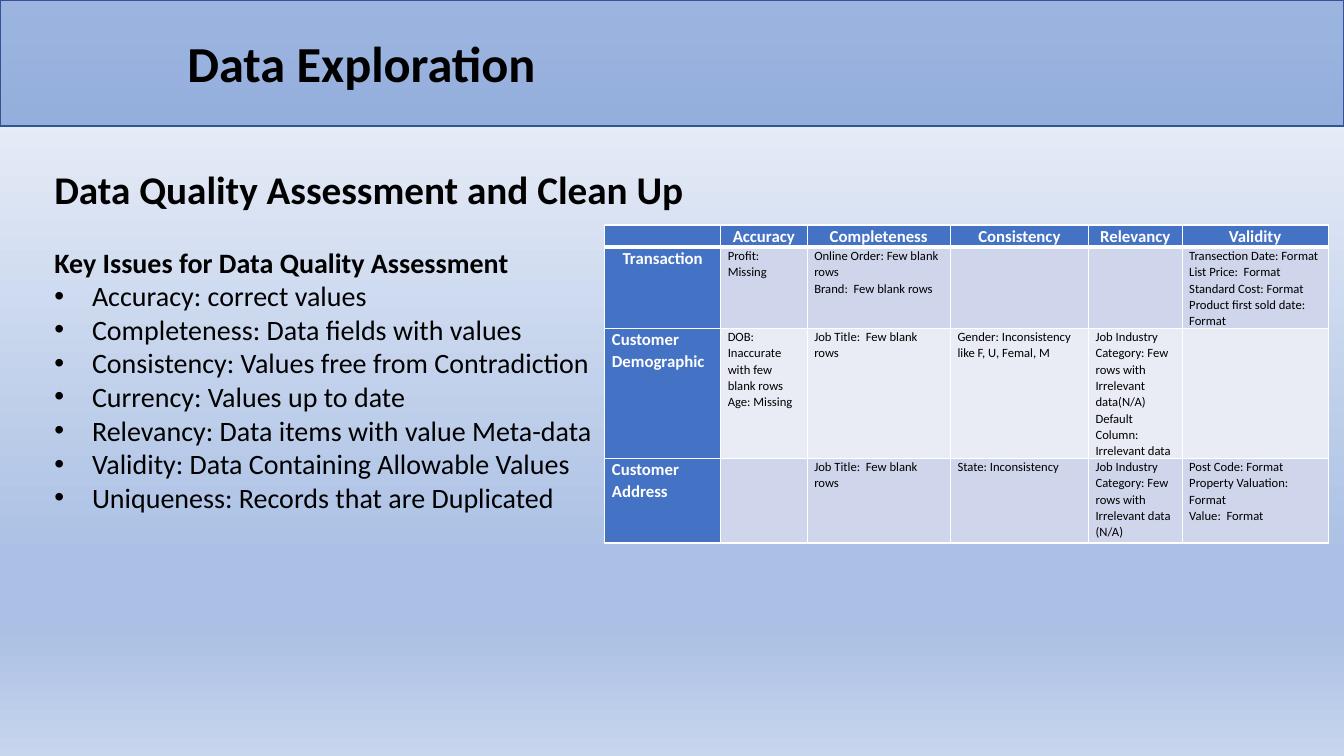
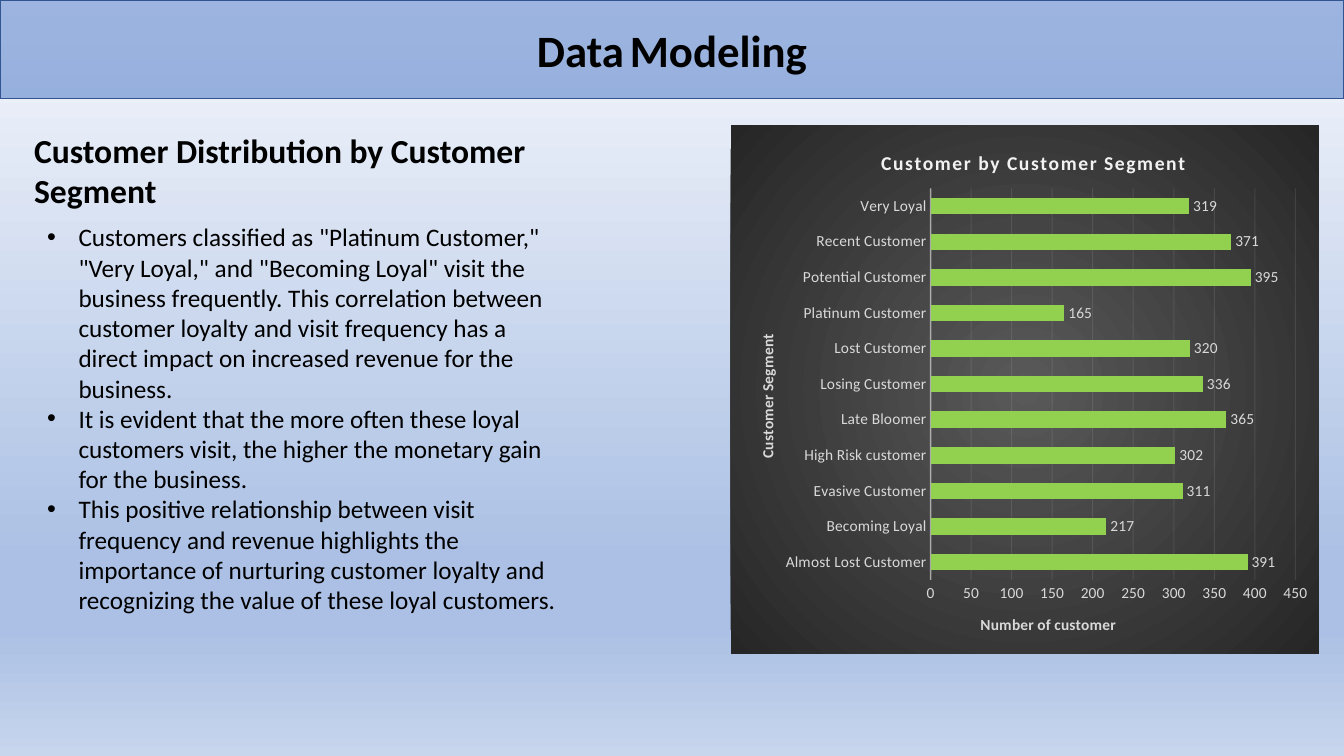
from lxml import etree
from pptx import Presentation
from pptx import util as u
from pptx.chart.data import CategoryChartData
from pptx.dml.color import RGBColor
from pptx.enum import chart as ch, shapes, text
from pptx.oxml import parse_xml
from pptx.oxml.ns import nsdecls, qn

Cm, Pt = u.Cm, u.Pt
FONT = "Calibri"
WIDTH, HEIGHT = Cm(33.87), Cm(19.05)
COLORS = {
    "black": "000000", "white": "FFFFFF", "blue": "4472C4", "outline": "325491",
    "band_dark": "CFD5EA", "band_light": "E9EBF5",
    "bar": "92D050", "label": "D9D9D9", "pale": "F2F2F2",
}
PAGE_STOPS = [(0, "F6F8FC"), (74, "ABC0E4"), (83, "ABC0E4"), (100, "C7D5ED")]
CHART_STOPS = [(0, "595959"), (100, "262626")]
LINEAR = '<a:lin ang="5400000" scaled="1"/>'
RADIAL = '<a:path path="circle"><a:fillToRect l="50000" t="50000" r="50000" b="50000"/></a:path>'

ISSUES = [
    "Accuracy: correct values",
    "Completeness: Data fields with values",
    "Consistency: Values free from Contradiction",
    "Currency: Values up to date",
    "Relevancy: Data items with value Meta-data",
    "Validity: Data Containing Allowable Values",
    "Uniqueness: Records that are Duplicated",
]
COL_WIDTHS = [2.92, 2.18, 3.61, 3.48, 2.36, 3.68]
ROW_HEIGHTS = [0.56, 2.03, 3.28, 2.13]
QUALITY = [
    ["", "Accuracy", "Completeness", "Consistency", "Relevancy", "Validity"],
    ["Transaction", "Profit: Missing",
     "Online Order: Few blank rows\nBrand:  Few blank rows", "", "",
     "Transection Date: Format\nList Price:  Format\nStandard Cost: Format\n"
     "Product first sold date: Format"],
    ["Customer Demographic", "DOB: Inaccurate with few blank rows\nAge: Missing",
     "Job Title:  Few blank rows", "Gender: Inconsistency like F, U, Femal, M",
     "Job Industry Category: Few rows with Irrelevant data(N/A)\n"
     "Default Column:  Irrelevant data", ""],
    ["Customer Address", "", "Job Title:  Few blank rows", "State: Inconsistency",
     "Job Industry Category: Few rows with Irrelevant data (N/A)",
     "Post Code: Format\nProperty Valuation:  Format\nValue:  Format"],
]
FINDINGS = [
    'Customers classified as "Platinum Customer," "Very Loyal," and "Becoming Loyal" '
    "visit the business frequently. This correlation between customer loyalty and visit "
    "frequency has a direct impact on increased revenue for the business.",
    "It is evident that the more often these loyal customers visit, the higher the "
    "monetary gain for the business.",
    "This positive relationship between visit frequency and revenue highlights the "
    "importance of nurturing customer loyalty and recognizing the value of these loyal "
    "customers.",
]
SEGMENTS = {
    "Almost Lost Customer": 391, "Becoming Loyal": 217, "Evasive Customer": 311,
    "High Risk customer": 302, "Late Bloomer": 365, "Losing Customer": 336,
    "Lost Customer": 320, "Platinum Customer": 165, "Potential Customer": 395,
    "Recent Customer": 371, "Very Loyal": 319,
}


def rgb(name):
    return RGBColor.from_string(COLORS[name])


def style(font, size, color="black", bold=False):
    font.name, font.size, font.bold = FONT, Pt(size), bold
    font.color.rgb = rgb(color)


def add_run(p, words, size, color="black", bold=False):
    r = p.add_run()
    r.text = words
    style(r.font, size, color, bold)
    return r


def paint(fill, color, opacity=100):
    fill.solid()
    fill.fore_color.rgb = rgb(color)
    if opacity < 100:
        clr = fill._xPr.find(".//" + qn("a:srgbClr"))
        etree.SubElement(clr, qn("a:alpha")).set("val", str(opacity * 1000))


def gradient(stops, direction):
    gs = "".join(f'<a:gs pos="{pos * 1000}"><a:srgbClr val="{c}"/></a:gs>' for pos, c in stops)
    return parse_xml(f'<a:gradFill {nsdecls("a")} rotWithShape="1">'
                     f"<a:gsLst>{gs}</a:gsLst>{direction}</a:gradFill>")


def set_background(master):
    fill = master.background.fill
    fill.solid()
    solid = fill._xPr.find(qn("a:solidFill"))
    fill._xPr.replace(solid, gradient(PAGE_STOPS, LINEAR))


def add_band(s, height):
    sp = s.shapes.add_shape(shapes.MSO_SHAPE.RECTANGLE, 0, 0, WIDTH, Cm(height))
    sp.shadow.inherit = False
    paint(sp.fill, "blue", 50)
    paint(sp.line.fill, "outline")
    sp.line.width = Pt(1)
    return sp.text_frame


def add_text(s, box, size, heading=None, bullets=(), indent=0):
    tf = s.shapes.add_textbox(*map(Cm, box)).text_frame
    tf.word_wrap = True
    tf.auto_size = text.MSO_AUTO_SIZE.SHAPE_TO_FIT_TEXT
    lines = ([(heading, True)] if heading else []) + [(b, False) for b in bullets]
    for i, (words, is_heading) in enumerate(lines):
        p = tf.add_paragraph() if i else tf.paragraphs[0]
        add_run(p, words, size, bold=is_heading)
        if not is_heading:
            pPr = p._p.get_or_add_pPr()
            pPr.set("marL", str(Cm(indent)))
            pPr.set("indent", str(-Cm(indent)))
            etree.SubElement(pPr, qn("a:buFont")).set("typeface", "Arial")
            etree.SubElement(pPr, qn("a:buChar")).set("char", "•")


def set_borders(cell, row):
    widths = {"L": 1, "R": 1, "T": 3 if row == 1 else 1, "B": 3 if row == 0 else 1}
    for i, (side, width) in enumerate(widths.items()):
        cell._tc.get_or_add_tcPr().insert(i, parse_xml(
            f'<a:ln{side} {nsdecls("a")} w="{Pt(width)}"><a:solidFill>'
            f'<a:srgbClr val="{COLORS["white"]}"/></a:solidFill></a:ln{side}>'))


def add_quality_table(s, left, top):
    frame = s.shapes.add_table(len(QUALITY), len(COL_WIDTHS), Cm(left), Cm(top),
                               Cm(sum(COL_WIDTHS)), Cm(sum(ROW_HEIGHTS)))
    table = frame.table
    for col, width in zip(table.columns, COL_WIDTHS):
        col.width = Cm(width)
    for i, (row, height) in enumerate(zip(QUALITY, ROW_HEIGHTS)):
        table.rows[i].height = Cm(height)
        for j, words in enumerate(row):
            cell = table.cell(i, j)
            header = i == 0 or j == 0
            cell.margin_left = cell.margin_right = Cm(0.18)
            cell.margin_top = cell.margin_bottom = 0
            paint(cell.fill, "blue" if header else "band_dark" if i % 2 else "band_light")
            set_borders(cell, i)
            tf = cell.text_frame
            for k, line in enumerate(words.split("\n")):
                p = tf.add_paragraph() if k else tf.paragraphs[0]
                p.line_spacing = 1.07
                if i == 0 or (i, j) == (1, 0):
                    p.alignment = text.PP_ALIGN.CENTER
                if line:
                    add_run(p, line, 12 if header else 9, "white" if header else "black", header)
                else:
                    p._p.get_or_add_endParaRPr().set("sz", "900")


def place(part, **fractions):
    old = part.find(qn("c:layout"))
    if old is not None:
        part.remove(old)
    target = '<c:layoutTarget val="inner"/>' if "w" in fractions else ""
    modes = "".join(f'<c:{k}Mode val="edge"/>' for k in "xy")
    sizes = "".join(f'<c:{k} val="{v}"/>' for k, v in fractions.items())
    layout = parse_xml(f'<c:layout {nsdecls("c")}><c:manualLayout>{target}{modes}{sizes}'
                       "</c:manualLayout></c:layout>")
    part.insert(0 if part.find(qn("c:tx")) is None else 1, layout)


def add_title(owner, title, words, size, color, x, y):
    r = add_run(title.text_frame.paragraphs[0], words, size, color, True)
    place(title._element, x=x, y=y)
    return r


def add_segment_chart(s, box):
    data = CategoryChartData()
    data.categories = list(SEGMENTS)
    data.add_series("Series 1", list(SEGMENTS.values()))
    chart = s.shapes.add_chart(ch.XL_CHART_TYPE.BAR_CLUSTERED, *map(Cm, box), data).chart
    style(chart.font, 11, "label")
    chart.has_legend = False
    spPr = parse_xml(f'<c:spPr {nsdecls("c", "a")}><a:ln><a:noFill/></a:ln></c:spPr>')
    spPr.insert(0, gradient(CHART_STOPS, RADIAL))
    chart._chartSpace.find(qn("c:chart")).addnext(spPr)
    place(chart._chartSpace.find(".//" + qn("c:plotArea")), x=0.34, y=0.12, w=0.62, h=0.74)

    plot = chart.plots[0]
    plot.gap_width, plot.overlap, plot.vary_by_categories = 115, -20, False
    paint(plot.series[0].format.fill, "bar")
    plot.has_data_labels = True
    labels = plot.data_labels
    labels.show_value = True
    labels.position = ch.XL_LABEL_POSITION.OUTSIDE_END
    style(labels.font, 11, "label")

    cat, val = chart.category_axis, chart.value_axis
    for axis in (cat, val):
        axis.major_tick_mark = axis.minor_tick_mark = ch.XL_TICK_MARK.NONE
        style(axis.tick_labels.font, 11, "label")
    cat.has_major_gridlines = False
    paint(cat.format.line.fill, "pale", 54)
    cat.format.line.width = Pt(1)
    val.minimum_scale, val.maximum_scale, val.major_unit = 0, 450, 50
    val.format.line.fill.background()
    val.has_major_gridlines = True
    grid = val.major_gridlines.format.line
    paint(grid.fill, "pale", 10)
    grid.width = Pt(0.75)

    r = add_title(chart, chart.chart_title, "Customer by Customer Segment", 14, "pale", 0.25, 0.04)
    r._r.get_or_add_rPr().set("spc", "100")
    add_title(cat, cat.axis_title, "Customer Segment", 11, "label", 0.04, 0.39)
    add_title(val, val.axis_title, "Number of customer", 11, "label", 0.42, 0.92)
    bodyPr = cat.axis_title.text_frame._txBody.find(qn("a:bodyPr"))
    bodyPr.set("rot", "-5400000")
    bodyPr.set("vert", "horz")


def build_exploration(s):
    add_band(s, 3.18)
    add_text(s, (4.47, 0.69, 16.94, 1.8), 36, "Data Exploration")
    add_text(s, (1.12, 4.04, 32, 1.45), 28, "Data Quality Assessment and Clean Up")
    add_text(s, (1.12, 6.05, 15.11, 7.09), 20, "Key Issues for Data Quality Assessment",
             ISSUES, 0.95)
    add_quality_table(s, 15.24, 5.67)


def build_modeling(s):
    tf = add_band(s, 2.49)
    tf.vertical_anchor = text.MSO_ANCHOR.MIDDLE
    p = tf.paragraphs[0]
    p.alignment = text.PP_ALIGN.CENTER
    for words, size in [("Data", 32), (" ", 18), ("Modeling", 32)]:
        add_run(p, words, size, bold=True)
    add_text(s, (0.61, 3.15, 14.25, 2.31), 24, "Customer Distribution by Customer Segment")
    add_text(s, (0.94, 5.46, 13.59, 10.26), 18, bullets=FINDINGS, indent=0.79)
    add_segment_chart(s, (18.41, 3.15, 14.83, 13.33))


def main():
    prs = Presentation()
    prs.slide_width, prs.slide_height = WIDTH, HEIGHT
    set_background(prs.slide_master)
    for build in (build_exploration, build_modeling):
        build(prs.slides.add_slide(prs.slide_layouts[6]))
    prs.save("out.pptx")


if __name__ == "__main__":
    main()
